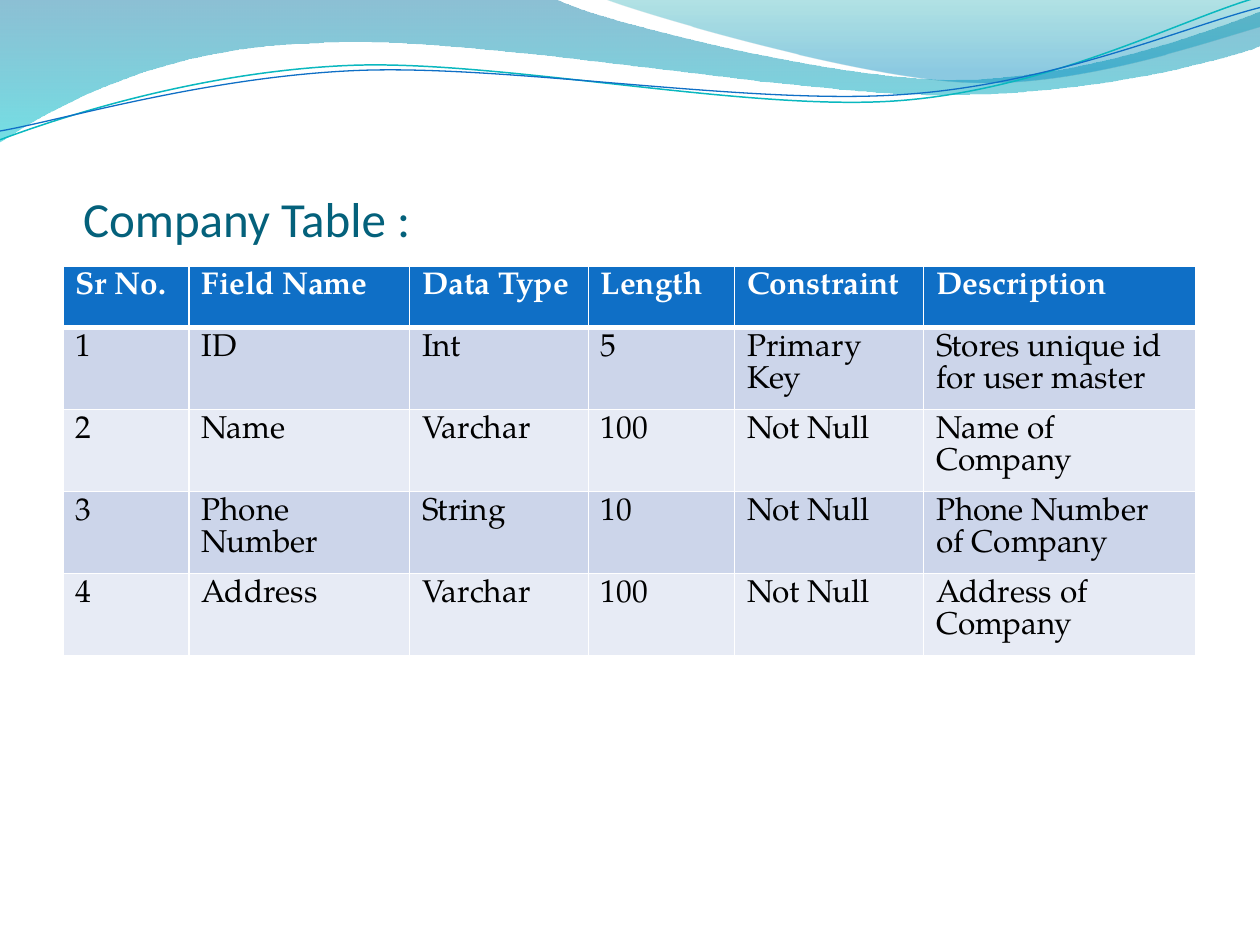
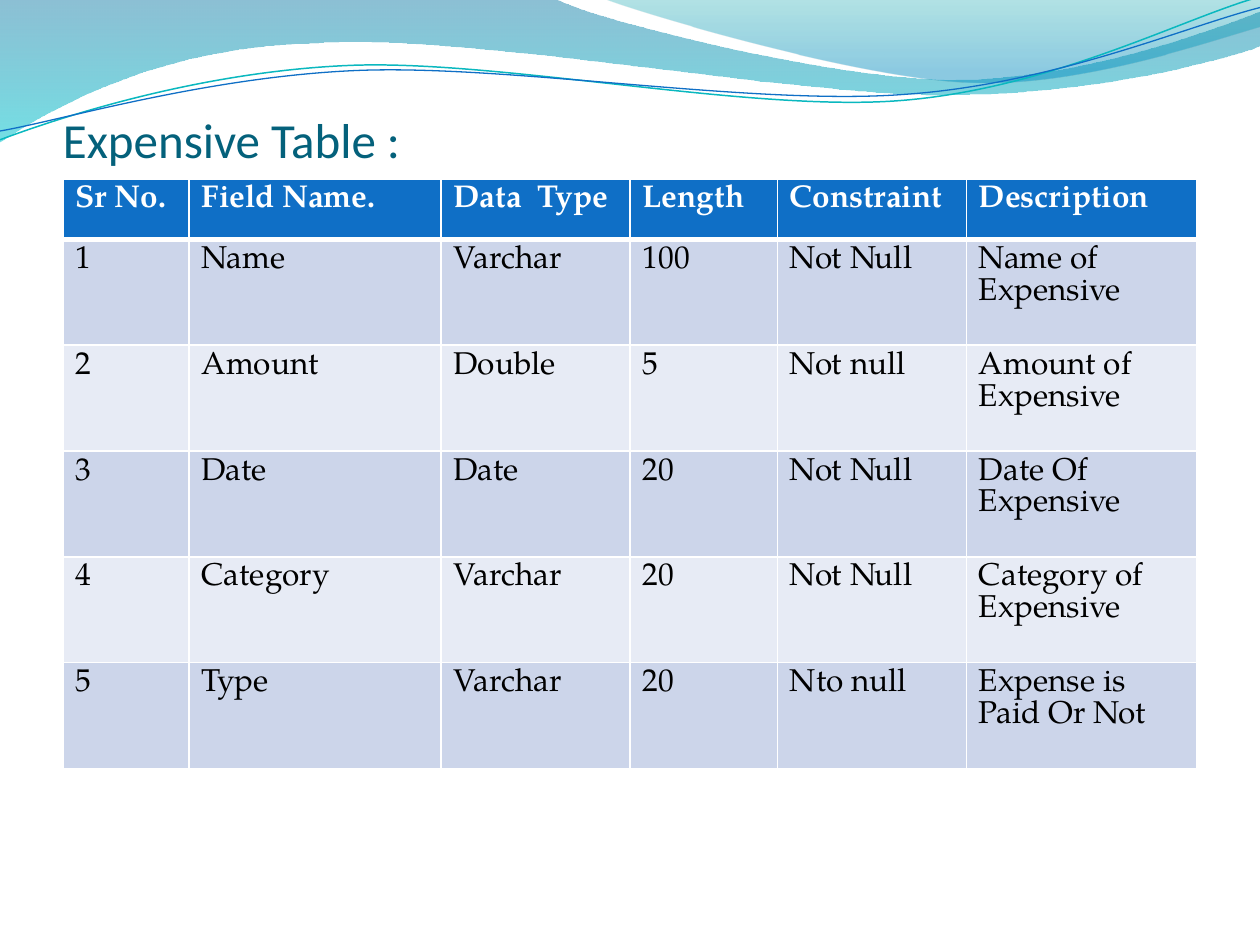
"""Builds two data dictionary slides with a shared wave header."""
from dataclasses import dataclass

from lxml import etree
from pptx import Presentation
from pptx import util as u
from pptx.dml.color import RGBColor
from pptx.enum import text
from pptx.oxml.ns import qn

SLIDES = [
    dict(title="Company Table :", bottom=2.02, indent=0.16, lift=0.06,
         top=2.11, cols=[1, 1.75, 1.42, 1.16, 1.5, 2.16], head_h=0.49, row_h=0.6,
         rows=[
             ("Sr No.", "Field Name", "Data Type", "Length", "Constraint", "Description"),
             ("1", "ID", "Int", "5", "Primary Key", "Stores unique id for user master"),
             ("2", "Name", "Varchar", "100", "Not Null", "Name of Company"),
             ("3", "Phone Number", "String", "10", "Not Null", "Phone Number of Company"),
             ("4", "Address", "Varchar", "100", "Not Null", "Address of Company"),
         ]),
    dict(title="Expensive Table :", bottom=1.34, indent=0, lift=0,
         top=1.42, cols=[1, 2, 1.5, 1.17, 1.5, 1.83], head_h=0.48, row_h=0.84,
         rows=[
             ("Sr No.", "Field Name.", "Data  Type", "Length", "Constraint", "Description"),
             ("1", "Name", "Varchar", "100", "Not Null", "Name of Expensive"),
             ("2", "Amount", "Double", "5", "Not null", "Amount of Expensive"),
             ("3", "Date", "Date", "20", "Not Null", "Date Of Expensive"),
             ("4", "Category", "Varchar", "20", "Not Null", "Category of Expensive"),
             ("5", "Type", "Varchar", "20", "Nto null", "Expense is Paid Or Not"),
         ]),
]

WAVES = [
    dict(stops=[(0, "0074A1", 45), (1, "00C6CF", 55)],
         points=[(0, 0), (4.4, -0.01), (4.76, 0.17, 6.64, 0.63, 7.58, 0.63),
                 (8.53, 0.63, 9.58, 0.26, 10, 0.09), (10.01, 0.36),
                 (9.83, 0.44, 8.7, 0.76, 7.46, 0.75), (6.22, 0.75, 3.82, 0.28, 2.57, 0.34),
                 (1.29, 0.36, 0.46, 0.83, -0.01, 1.13), (0, 0)]),
    dict(stops=[(0, "00A1A9", 30), (0.8, "008BBF", 45)],
         points=[(4.79, -0.01), (5.09, 0.11, 6.82, 0.62, 7.69, 0.65),
                 (8.56, 0.69, 9.61, 0.32, 10, 0.21), (10, 0), (4.79, -0.01)]),
    dict(line=("0AB8BF", 0.85),
         points=[(0, 1.11), (0.48, 0.93, 1.58, 0.57, 2.77, 0.52),
                 (3.95, 0.47, 5.93, 0.89, 7.13, 0.8), (8.33, 0.71, 9.38, 0.15, 9.98, -0.02)]),
    dict(line=("0F6FC6", 0.75),
         points=[(0, 1.04), (0.47, 0.96, 1.64, 0.61, 2.83, 0.56),
                 (4.03, 0.51, 5.97, 0.84, 7.17, 0.75), (8.36, 0.67, 9.41, 0.21, 10, 0.06)]),
]


@dataclass(frozen=True)
class Theme:
    title: str = "04617B"
    header: str = "0F6FC6"
    bands: tuple = ("CCD5EA", "E7EBF5")
    white: str = "FFFFFF"
    ink: str = "000000"
    title_font: str = "Calibri"
    table_font: str = "TeX Gyre Pagella"
    title_size: int = 28
    table_size: int = 18
    margin: float = 0.5
    title_h: float = 0.56
    rule: int = 1
    header_rule: int = 3


T = Theme()
WIDTH, HEIGHT = 10, 7.5
rgb = RGBColor.from_string


def write(tf, words, *, font, size, color, bold=False):
    r = tf.paragraphs[0].add_run()
    r.text = words
    r.font.name, r.font.size, r.font.bold = font, u.Pt(size), bold
    r.font.color.rgb = rgb(color)


def add_outline(s, points, close):
    """Draws straight segments for pairs and cubic curves for sixes."""
    start, *rest = [[(u.Inches(x), u.Inches(y)) for x, y in zip(p[::2], p[1::2])] for p in points]
    builder = s.shapes.build_freeform(*start[0])
    builder.add_line_segments([pair for segment in rest for pair in segment], close=close)
    sp = builder.convert_to_shape()
    lines = iter(list(sp._element.iter(qn("a:lnTo"))))
    for segment in rest:
        first, *others = [next(lines) for _ in segment]
        if others:
            first.tag = qn("a:cubicBezTo")
            for other in others:
                first.append(other[0])
                other.getparent().remove(other)
    return sp


def add_wave(s, points, stops=None, line=None):
    sp = add_outline(s, points, close=bool(stops))
    sp.shadow.inherit = False
    if line:
        sp.fill.background()
        sp.line.color.rgb, sp.line.width = rgb(line[0]), u.Pt(line[1])
        return
    sp.line.fill.background()
    sp.fill.gradient()
    sp.fill.gradient_angle = 270
    for stop, (position, color, _) in zip(sp.fill.gradient_stops, stops):
        stop.position, stop.color.rgb = position, rgb(color)
    for node, (_, _, alpha) in zip(sp._element.spPr.iter(qn("a:srgbClr")), stops):
        etree.SubElement(node, qn("a:alpha"), val=str(alpha * 1000))


def add_title(s, words, bottom, indent, lift):
    sp = s.shapes.add_textbox(u.Inches(T.margin), u.Inches(bottom - T.title_h),
                              u.Inches(WIDTH - 2 * T.margin), u.Inches(T.title_h))
    tf = sp.text_frame
    tf.word_wrap, tf.vertical_anchor = True, text.MSO_ANCHOR.BOTTOM
    tf.margin_left, tf.margin_right = u.Inches(indent), 0
    tf.margin_top, tf.margin_bottom = 0, u.Inches(lift)
    write(tf, words, font=T.title_font, size=T.title_size, color=T.title)


def set_borders(cell, **widths):
    tcPr = cell._tc.get_or_add_tcPr()
    for side in "LRTB":
        ln = etree.SubElement(tcPr, qn(f"a:ln{side}"), w=str(u.Pt(widths.get(side, T.rule))))
        fill = etree.SubElement(ln, qn("a:solidFill"))
        etree.SubElement(fill, qn("a:srgbClr"), val=T.white)


def add_field_table(s, rows, top, cols, head_h, row_h):
    heights = [head_h] + [row_h] * (len(rows) - 1)
    table = s.shapes.add_table(len(rows), len(cols), u.Inches(T.margin), u.Inches(top),
                               u.Inches(sum(cols)), u.Inches(sum(heights))).table
    for column, width in zip(table.columns, cols):
        column.width = u.Inches(width)
    for i, (row, height, words) in enumerate(zip(table.rows, heights, rows)):
        row.height = u.Inches(height)
        head = i == 0
        thick = {0: {"B": T.header_rule}, 1: {"T": T.header_rule}}.get(i, {})
        for cell, word in zip(row.cells, words):
            set_borders(cell, **thick)
            cell.margin_bottom = 0
            cell.fill.solid()
            cell.fill.fore_color.rgb = rgb(T.header if head else T.bands[(i - 1) % 2])
            write(cell.text_frame, word, font=T.table_font, size=T.table_size,
                  color=T.white if head else T.ink, bold=head)


def main():
    prs = Presentation()
    prs.slide_width, prs.slide_height = u.Inches(WIDTH), u.Inches(HEIGHT)
    for page in SLIDES:
        s = prs.slides.add_slide(prs.slide_layouts[6])
        for wave in WAVES:
            add_wave(s, **wave)
        add_title(s, page["title"], page["bottom"], page["indent"], page["lift"])
        add_field_table(s, page["rows"], page["top"], page["cols"], page["head_h"], page["row_h"])
    prs.save("out.pptx")


if __name__ == "__main__":
    main()
